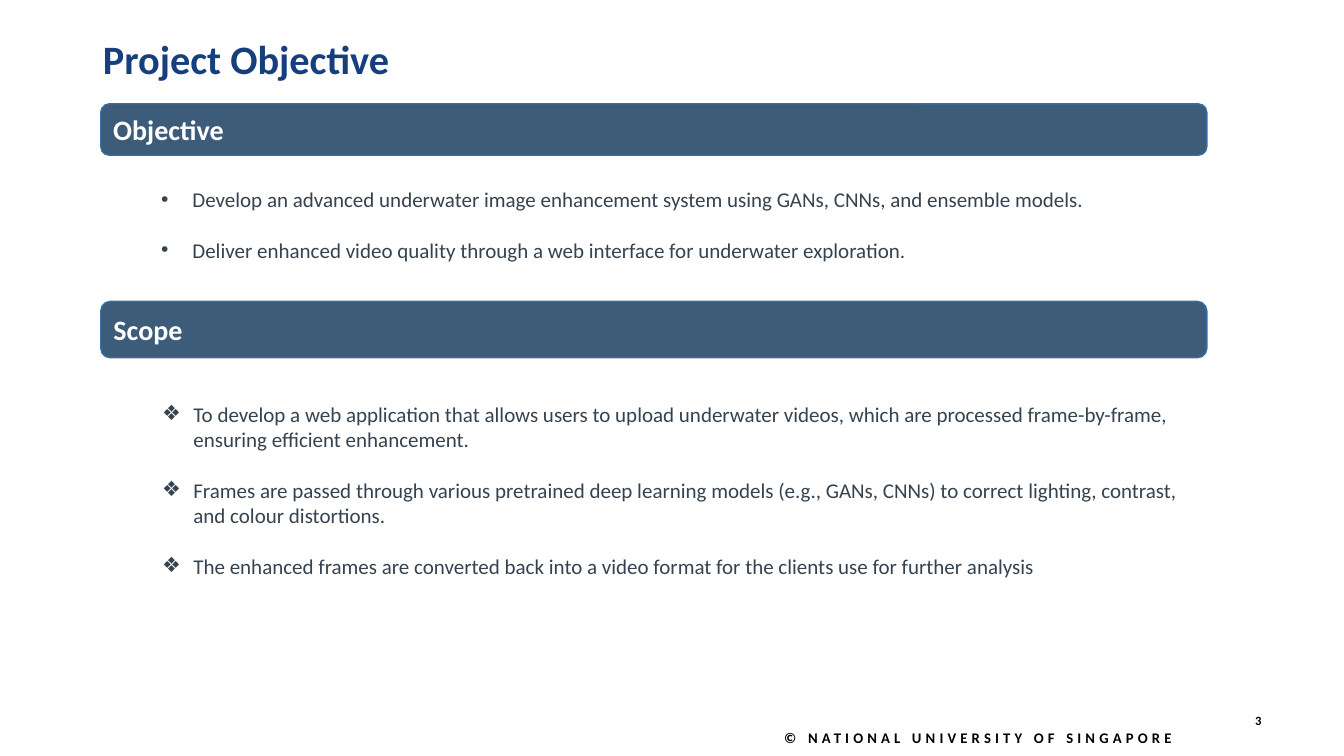
from dataclasses import dataclass

from lxml.etree import SubElement
from pptx import Presentation
from pptx.dml.color import RGBColor
from pptx.enum.shapes import MSO_SHAPE
from pptx.enum.text import MSO_ANCHOR as Anchor, MSO_AUTO_SIZE as AutoSize, PP_ALIGN as Align
from pptx.oxml.ns import qn
from pptx.util import Inches, Pt


@dataclass(frozen=True)
class Theme:
    font: str = "Calibri"
    bullet_font: str = "Arial"
    title_color: str = "173F7E"
    banner_fill: str = "3D5C7A"
    banner_line: str = "376EA5"
    banner_text: str = "FFFFFF"
    body_color: str = "354350"
    footer_color: str = "000000"
    title_size: float = 28.8
    banner_size: float = 20
    body_size: float = 15
    footer_size: float = 10.5
    number_size: float = 9
    bullet_gap: float = 18.3


class SlideBuilder:
    def __init__(self, deck, theme):
        self.theme = theme
        self.slide = deck.slides.add_slide(deck.slide_layouts[5])

    def add_span(self, para, text, size, color, bold=False, tracking=0):
        span = para.add_run()
        span.text = text
        span.font.name = self.theme.font
        span.font.size = Pt(size)
        span.font.bold = bold
        span.font.color.rgb = RGBColor.from_string(color)
        if tracking:
            span._r.get_or_add_rPr().set("spc", str(tracking * 100))

    def text_box(self, left, top, width, height, anchor=Anchor.TOP):
        box = self.slide.shapes.add_textbox(
            Inches(left), Inches(top), Inches(width), Inches(height))
        box.text_frame.word_wrap = True
        box.text_frame.vertical_anchor = anchor
        return box.text_frame

    def title(self, text, left, top, width, height):
        title = self.slide.shapes.title
        title.left, title.top = Inches(left), Inches(top)
        title.width, title.height = Inches(width), Inches(height)
        frame = title.text_frame
        frame.auto_size = AutoSize.NONE
        frame.vertical_anchor = Anchor.BOTTOM
        para = frame.paragraphs[0]
        para.alignment = Align.LEFT
        self.add_span(para, text, self.theme.title_size, self.theme.title_color, bold=True)

    def banner(self, text, left, top, width, height):
        banner = self.slide.shapes.add_shape(
            MSO_SHAPE.ROUNDED_RECTANGLE,
            Inches(left), Inches(top), Inches(width), Inches(height))
        banner.shadow.inherit = False
        banner.fill.solid()
        banner.fill.fore_color.rgb = RGBColor.from_string(self.theme.banner_fill)
        banner.line.color.rgb = RGBColor.from_string(self.theme.banner_line)
        banner.line.width = Pt(1)
        frame = banner.text_frame
        frame.vertical_anchor = Anchor.MIDDLE
        para = frame.paragraphs[0]
        para.alignment = Align.LEFT
        self.add_span(para, text, self.theme.banner_size, self.theme.banner_text, bold=True)

    def bullets(self, items, symbol, left, top, width, height):
        frame = self.text_box(left, top, width, height)
        for index, item in enumerate(items):
            para = frame.add_paragraph() if index else frame.paragraphs[0]
            properties = para._p.get_or_add_pPr()
            properties.set("marL", str(Inches(0.81)))
            properties.set("indent", str(Inches(-0.31)))
            SubElement(properties, qn("a:buFont")).set("typeface", self.theme.bullet_font)
            SubElement(properties, qn("a:buChar")).set("char", symbol)
            if index:
                para.space_before = Pt(self.theme.bullet_gap)
            self.add_span(para, item, self.theme.body_size, self.theme.body_color)

    def footer(self, text, size, align, left, top, width, height):
        para = self.text_box(left, top, width, height, Anchor.MIDDLE).paragraphs[0]
        para.alignment = align
        self.add_span(para, text, size, self.theme.footer_color, bold=True, tracking=3)


def main():
    deck = Presentation()
    deck.slide_width, deck.slide_height = Inches(13.33), Inches(7.5)
    theme = Theme()
    page = SlideBuilder(deck, theme)

    page.title("Project Objective", 0.92, 0.27, 9.62, 0.6)
    page.footer("© NATIONAL UNIVERSITY OF SINGAPORE", theme.footer_size, Align.LEFT,
                7.68, 7.14, 4.53, 0.36)
    page.footer("3", theme.number_size, Align.RIGHT, 11.82, 6.95, 0.79, 0.4)

    page.banner("Objective", 1, 1.03, 10.97, 0.51)
    page.bullets([
        "Develop an advanced underwater image enhancement system using GANs, CNNs, "
        "and ensemble models.",
        "Deliver enhanced video quality through a web interface for underwater exploration.",
    ], "•", 1, 1.8, 10.52, 0.86)

    page.banner("Scope", 1, 2.99, 10.97, 0.56)
    page.bullets([
        "To develop a web application that allows users to upload underwater videos, "
        "which are processed frame-by-frame, ensuring efficient enhancement.",
        "Frames are passed through various pretrained deep learning models "
        "(e.g., GANs, CNNs) to correct lighting, contrast, and colour distortions.",
        "The enhanced frames are converted back into a video format for the clients use "
        "for further analysis",
    ], "❖", 1.01, 3.93, 10.96, 2.21)

    deck.save("out.pptx")


if __name__ == "__main__":
    main()
